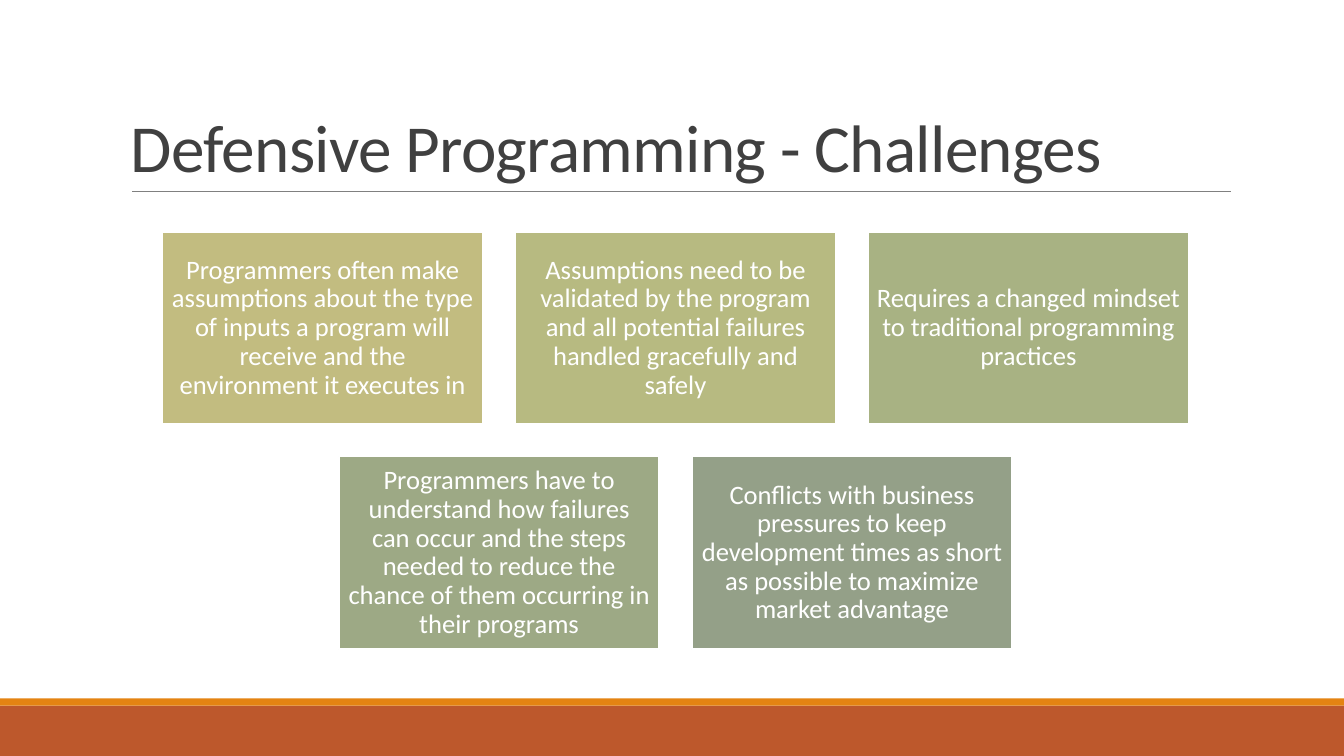
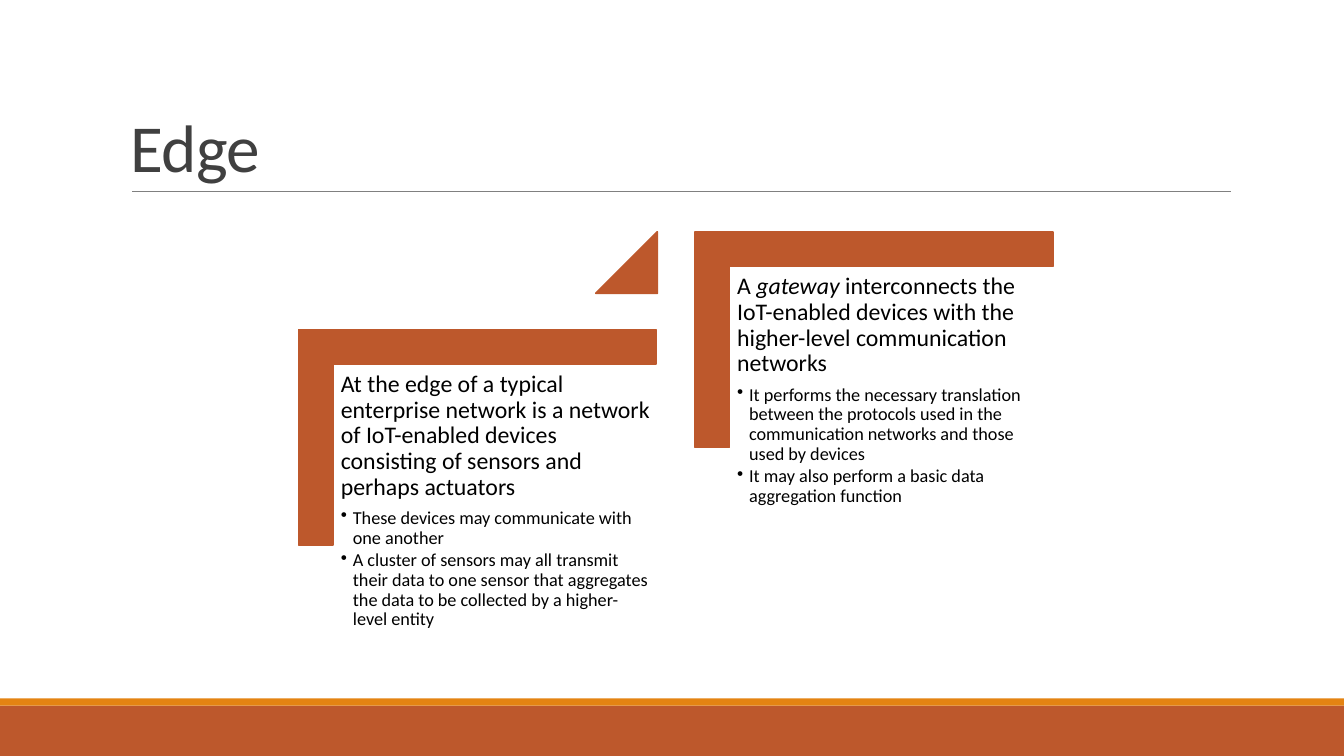
from lxml import etree
from pptx import Presentation
from pptx.dml.color import RGBColor
from pptx.enum.shapes import MSO_CONNECTOR, MSO_SHAPE
from pptx.enum.text import MSO_ANCHOR, PP_ALIGN
from pptx.oxml.ns import qn
from pptx.util import Inches, Pt

FONT = "Calibri"
WHITE = RGBColor(0xFF, 0xFF, 0xFF)
BLACK = RGBColor(0x00, 0x00, 0x00)
TITLE_GRAY = RGBColor(0x40, 0x40, 0x40)
RULE_GRAY = RGBColor(0x80, 0x80, 0x80)
RUST = RGBColor(0xBD, 0x58, 0x2C)
ORANGE = RGBColor(0xE4, 0x83, 0x12)

SLIDE_WIDTH, SLIDE_HEIGHT = 13.33, 7.5
BANDS = [(7, 0.5, RUST), (6.93, 0.07, ORANGE)]

CHALLENGES_TITLE = "Defensive Programming - Challenges"
CHALLENGE_ROWS = [
    [
        ("Programmers often make assumptions about the type of inputs a program will "
         "receive and the environment it executes in", RGBColor(0xC2, 0xBC, 0x80)),
        ("Assumptions need to be validated by the program and all potential failures "
         "handled gracefully and safely", RGBColor(0xB7, 0xBA, 0x81)),
        ("Requires a changed mindset to traditional programming practices",
         RGBColor(0xA8, 0xB2, 0x83)),
    ],
    [
        ("Programmers have to understand how failures can occur and the steps needed to "
         "reduce the chance of them occurring in their programs", RGBColor(0x9D, 0xA9, 0x85)),
        ("Conflicts with business pressures to keep development times as short as possible "
         "to maximize market advantage", RGBColor(0x94, 0xA0, 0x88)),
    ],
]
CARD_WIDTH, CARD_HEIGHT, CARD_GAP = 3.18, 1.91, 0.32
CARDS_CENTER, CARDS_TOP = 6.7, 2.3

EDGE_TITLE = "Edge"
EDGE_STEPS = [
    {
        "lead": [("At the edge of a typical enterprise network is a network of IoT-enabled "
                  "devices consisting of sensors and perhaps actuators", False)],
        "bullets": [
            "These devices may communicate with one another",
            "A cluster of sensors may all transmit their data to one sensor that aggregates "
            "the data to be collected by a higher-level entity",
        ],
    },
    {
        "lead": [("A ", False), ("gateway", True),
                 (" interconnects the IoT-enabled devices with the higher-level "
                  "communication networks", False)],
        "bullets": [
            "It performs the necessary translation between the protocols used in the "
            "communication networks and those used by devices",
            "It may also perform a basic data aggregation function",
        ],
    },
]
STEP_LEFT, STEP_TOP = 2.96, 3.27
STEP_RIGHT_SHIFT, STEP_RISE = 3.93, 0.97
CORNER_LENGTH, CORNER_DROP = 3.55, 2.14


def add_block(slide, kind, left, top, width, height, fill, line=None):
    shape = slide.shapes.add_shape(
        kind, Inches(left), Inches(top), Inches(width), Inches(height))
    shape.shadow.inherit = False
    shape.fill.solid()
    shape.fill.fore_color.rgb = fill
    if line is None:
        shape.line.fill.background()
    else:
        shape.line.color.rgb = line
        shape.line.width = Pt(1.25)
    return shape


def set_frame(shape, anchor, inset):
    frame = shape.text_frame
    frame.word_wrap = True
    frame.vertical_anchor = anchor
    frame.margin_left = frame.margin_right = Inches(inset)
    frame.margin_top = frame.margin_bottom = Inches(inset)
    return frame


def add_text_box(slide, left, top, width, height, anchor, inset):
    box = slide.shapes.add_textbox(
        Inches(left), Inches(top), Inches(width), Inches(height))
    return set_frame(box, anchor, inset)


def add_run(paragraph, text, size, color, italic=False):
    run = paragraph.add_run()
    run.text = text
    run.font.name = FONT
    run.font.size = Pt(size)
    run.font.color.rgb = color
    if italic:
        run.font.italic = True
    return run


def add_bullet(paragraph, indent):
    properties = paragraph._p.get_or_add_pPr()
    properties.set("marL", str(Inches(indent)))
    properties.set("indent", str(-Inches(indent)))
    etree.SubElement(properties, qn("a:buChar")).set("char", "•")


def add_base_slide(presentation, title):
    slide = presentation.slides.add_slide(presentation.slide_layouts[6])
    for top, height, color in BANDS:
        add_block(slide, MSO_SHAPE.RECTANGLE, 0, top, SLIDE_WIDTH, height, color)

    rule = slide.shapes.add_connector(
        MSO_CONNECTOR.STRAIGHT, Inches(1.31), Inches(1.9), Inches(12.21), Inches(1.9))
    rule.line.color.rgb = RULE_GRAY
    rule.line.width = Pt(0.5)
    etree.SubElement(rule._element.spPr, qn("a:effectLst"))

    frame = add_text_box(slide, 1.2, 0.31, 11, 1.59, MSO_ANCHOR.BOTTOM, 0.1)
    frame.margin_top = frame.margin_bottom = Inches(0.05)
    paragraph = frame.paragraphs[0]
    paragraph.line_spacing = 0.85
    run = add_run(paragraph, title, 48, TITLE_GRAY)
    run._r.get_or_add_rPr().set("spc", "-50")
    return slide


def build_challenges(presentation):
    slide = add_base_slide(presentation, CHALLENGES_TITLE)
    for row_index, row in enumerate(CHALLENGE_ROWS):
        row_width = len(row) * (CARD_WIDTH + CARD_GAP) - CARD_GAP
        row_left = CARDS_CENTER - row_width / 2
        top = CARDS_TOP + row_index * (CARD_HEIGHT + CARD_GAP)
        for column, (text, color) in enumerate(row):
            left = row_left + column * (CARD_WIDTH + CARD_GAP)
            card = add_block(slide, MSO_SHAPE.RECTANGLE, left, top,
                             CARD_WIDTH, CARD_HEIGHT, color, WHITE)
            paragraph = set_frame(card, MSO_ANCHOR.MIDDLE, 0.08).paragraphs[0]
            paragraph.alignment = PP_ALIGN.CENTER
            paragraph.line_spacing = 0.9
            add_run(paragraph, text, 19, WHITE)


def add_step(slide, step, left, top):
    turn_offset = (CORNER_LENGTH - CORNER_DROP) / 2
    corner = add_block(slide, MSO_SHAPE.CORNER, left + turn_offset, top - turn_offset,
                       CORNER_DROP, CORNER_LENGTH, RUST, RUST)
    corner.rotation = 90
    corner.adjustments[0] = corner.adjustments[1] = 0.161

    frame = add_text_box(slide, left + 0.35, top + 0.35, 3.21, 2.81, MSO_ANCHOR.TOP, 0.07)
    lead = frame.paragraphs[0]
    lead.line_spacing = 0.9
    lead.space_after = Pt(6)
    for text, italic in step["lead"]:
        add_run(lead, text, 17, BLACK, italic)
    for text in step["bullets"]:
        paragraph = frame.add_paragraph()
        paragraph.level = 1
        paragraph.line_spacing = 0.9
        paragraph.space_after = Pt(2)
        add_bullet(paragraph, 0.12)
        add_run(paragraph, text, 13, BLACK)


def build_edge(presentation):
    slide = add_base_slide(presentation, EDGE_TITLE)
    for index, step in enumerate(EDGE_STEPS):
        add_step(slide, step, STEP_LEFT + index * STEP_RIGHT_SHIFT,
                 STEP_TOP - index * STEP_RISE)
    triangle = add_block(slide, MSO_SHAPE.ISOSCELES_TRIANGLE, 5.91, 2.3, 0.61, 0.61,
                         RUST, RUST)
    triangle.adjustments[0] = 1


def main():
    presentation = Presentation()
    presentation.slide_width = Inches(SLIDE_WIDTH)
    presentation.slide_height = Inches(SLIDE_HEIGHT)
    build_challenges(presentation)
    build_edge(presentation)
    presentation.save("out.pptx")


if __name__ == "__main__":
    main()
